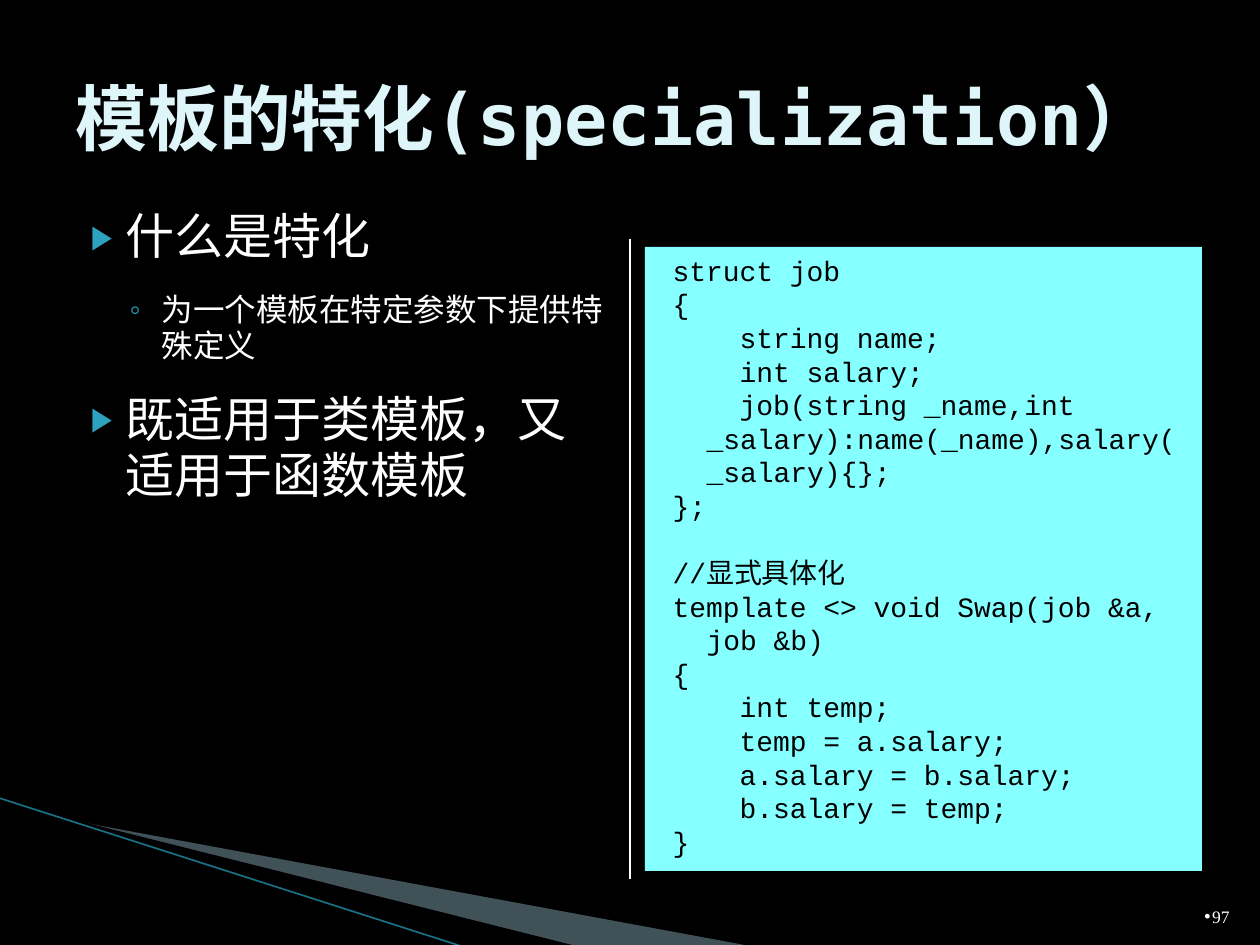
"""Build the slide on template specialization."""
from lxml import etree
from pptx import Presentation
from pptx.dml.color import RGBColor
from pptx.enum.shapes import MSO_CONNECTOR
from pptx.enum.text import MSO_ANCHOR, MSO_AUTO_SIZE, PP_ALIGN
from pptx.oxml.ns import qn
from pptx.util import Emu, Pt

LINE = MSO_CONNECTOR.STRAIGHT
TOP, MIDDLE, BOTTOM = MSO_ANCHOR.TOP, MSO_ANCHOR.MIDDLE, MSO_ANCHOR.BOTTOM
LEFT, RIGHT = PP_ALIGN.LEFT, PP_ALIGN.RIGHT
NO_FIT = MSO_AUTO_SIZE.NONE
SCALE = 914400 / 126

THEME = {
    "back": "000000", "text": "FFFFFF", "title": "DEF5FA", "code": "000000",
    "panel": "85FFFF", "mark": "2DA2BF", "wedge": "A0CBDC", "ray": "1A7085",
    "mono": "Courier New", "head": "DejaVu Sans Mono", "page": "Times New Roman",
    "title_pt": 41, "code_pt": 16, "code_gap": 19.2, "page_pt": 10,
}
LEVELS = [
    {"size": 28, "left": 50, "hang": -35, "before": 4, "mark": "▶", "pct": 68},
    {"size": 18, "left": 86, "hang": -32, "before": 3.2, "mark": "◦", "pct": 100},
]

TITLE = "模板的特化(specialization）"
POINTS = [
    (0, "什么是特化"),
    (1, "为一个模板在特定参数下提供特殊定义"),
    (0, "既适用于类模板，又适用于函数模板"),
]
CODE = """struct job
{
    string name;
    int salary;
    job(string _name,int _salary):name(_name),salary(_salary){};
};

//显式具体化
template <> void Swap(job &a, job &b)
{
    int temp;
    temp = a.salary;
    a.salary = b.salary;
    b.salary = temp;
}""".split("\n")
PAGE = "97"

BOXES = {
    "title": (63, 38, 1134, 158), "list": (63, 204, 557, 624),
    "code": (645, 247, 557, 624), "page": (1192, 883, 50, 50),
}
WEDGES = [
    ("wedge", 40, [(69, 820), (750, 946), (575, 946), (69, 819)]),
    ("back", 100, [(67, 818), (576, 946), (469, 948), (68, 819)]),
]
RULES = [
    ("ray", 0.95, (-1, 798, 467, 948)),
    ("text", 0.75, (630, 239, 630, 879)),
]


def px(n):
    return Emu(round(n * SCALE))


def color(name):
    return RGBColor.from_string(THEME[name])


def sub(node, tag, **attrs):
    return etree.SubElement(node, qn(tag), attrs)


def place(shape, box, anchor):
    shape.left, shape.top, shape.width, shape.height = map(px, box)
    frame = shape.text_frame
    frame.word_wrap = True
    frame.auto_size = NO_FIT
    frame.vertical_anchor = anchor
    return frame


def add_par(frame, first):
    return frame.paragraphs[0] if first else frame.add_paragraph()


def indent(par, left, hang):
    props = par._p.get_or_add_pPr()
    props.set("marL", str(px(left)))
    props.set("indent", str(px(hang)))
    return props


def bullet(props, mark, tint, pct):
    sub(sub(props, "a:buClr"), "a:srgbClr", val=THEME[tint])
    sub(props, "a:buSzPct", val=str(pct * 1000))
    sub(props, "a:buFont", typeface="Arial")
    sub(props, "a:buChar", char=mark)


def style(font, face, size, tint, bold=False):
    font.name, font.size, font.bold = THEME[face], Pt(size), bold
    font.color.rgb = color(tint)


def write(par, text, *look):
    run = par.add_run()
    run.text = text
    style(run.font, *look)


def add_wedge(slide, tint, alpha, points):
    start, *rest = points
    maker = slide.shapes.build_freeform(*start, scale=SCALE)
    maker.add_line_segments(rest, close=True)
    shape = maker.convert_to_shape()
    shape.shadow.inherit = False
    shape.line.fill.background()
    shape.fill.solid()
    shape.fill.fore_color.rgb = color(tint)
    if alpha < 100:
        tone = shape._element.spPr.find(".//" + qn("a:srgbClr"))
        sub(tone, "a:alpha", val=str(alpha * 1000))


def add_rule(slide, tint, width, ends):
    rule = slide.shapes.add_connector(LINE, *map(px, ends))
    rule.line.color.rgb = color(tint)
    rule.line.width = Pt(width)
    sub(rule._element.spPr, "a:effectLst")


def fill_list(frame):
    for i, (level, text) in enumerate(POINTS):
        look = LEVELS[level]
        par = add_par(frame, i == 0)
        par.level = level
        props = indent(par, look["left"], look["hang"])
        bullet(props, look["mark"], "mark", look["pct"])
        par.line_spacing = 0.95
        par.space_before = Pt(look["before"] if i else 0)
        par.space_after = Pt(12)
        write(par, text, "mono", look["size"], "text")


def fill_code(frame):
    for i, text in enumerate(CODE):
        par = add_par(frame, i == 0)
        sub(indent(par, 49, -34), "a:buNone")
        par.line_spacing = Pt(THEME["code_gap"])
        par.space_before = Pt(0)
        style(par.font, "mono", THEME["code_pt"], "code")
        if text:
            write(par, text, "mono", THEME["code_pt"], "code")


def main():
    deck = Presentation()
    deck.slide_width, deck.slide_height = px(1260), px(945)
    slide = deck.slides.add_slide(deck.slide_layouts[3])
    slide.background.fill.solid()
    slide.background.fill.fore_color.rgb = color("back")
    title, points, code = slide.placeholders

    for wedge in WEDGES:
        add_wedge(slide, *wedge)
    for rule in RULES:
        add_rule(slide, *rule)

    par = place(title, BOXES["title"], MIDDLE).paragraphs[0]
    par.alignment = LEFT
    write(par, TITLE, "head", THEME["title_pt"], "title", True)
    fill_list(place(points, BOXES["list"], TOP))
    code.fill.solid()
    code.fill.fore_color.rgb = color("panel")
    fill_code(place(code, BOXES["code"], TOP))

    page = slide.shapes.add_textbox(0, 0, 0, 0)
    par = place(page, BOXES["page"], BOTTOM).paragraphs[0]
    bullet(par._p.get_or_add_pPr(), "•", "text", 100)
    par.alignment = RIGHT
    write(par, PAGE, "page", THEME["page_pt"], "text")
    deck.save("out.pptx")


if __name__ == "__main__":
    main()
